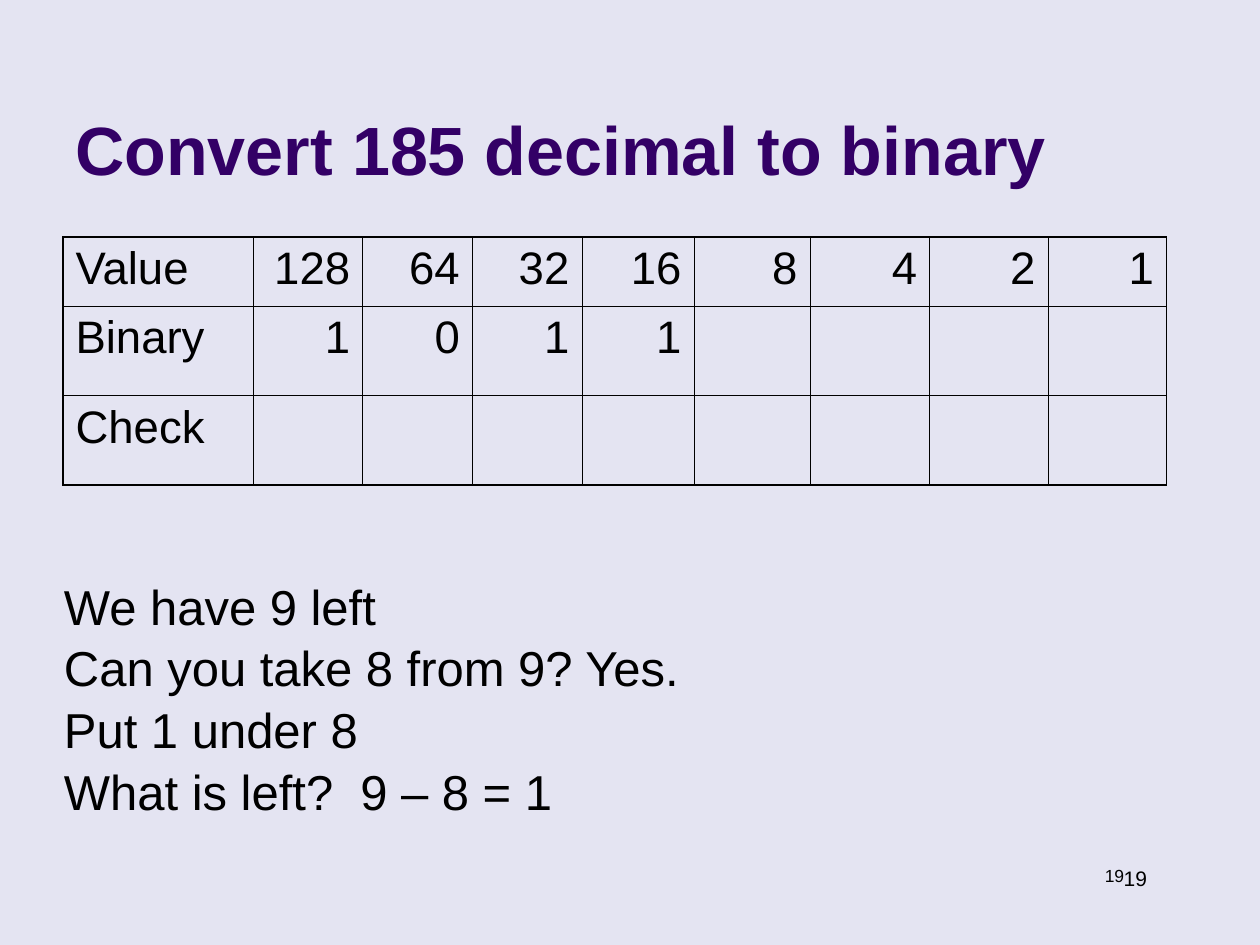
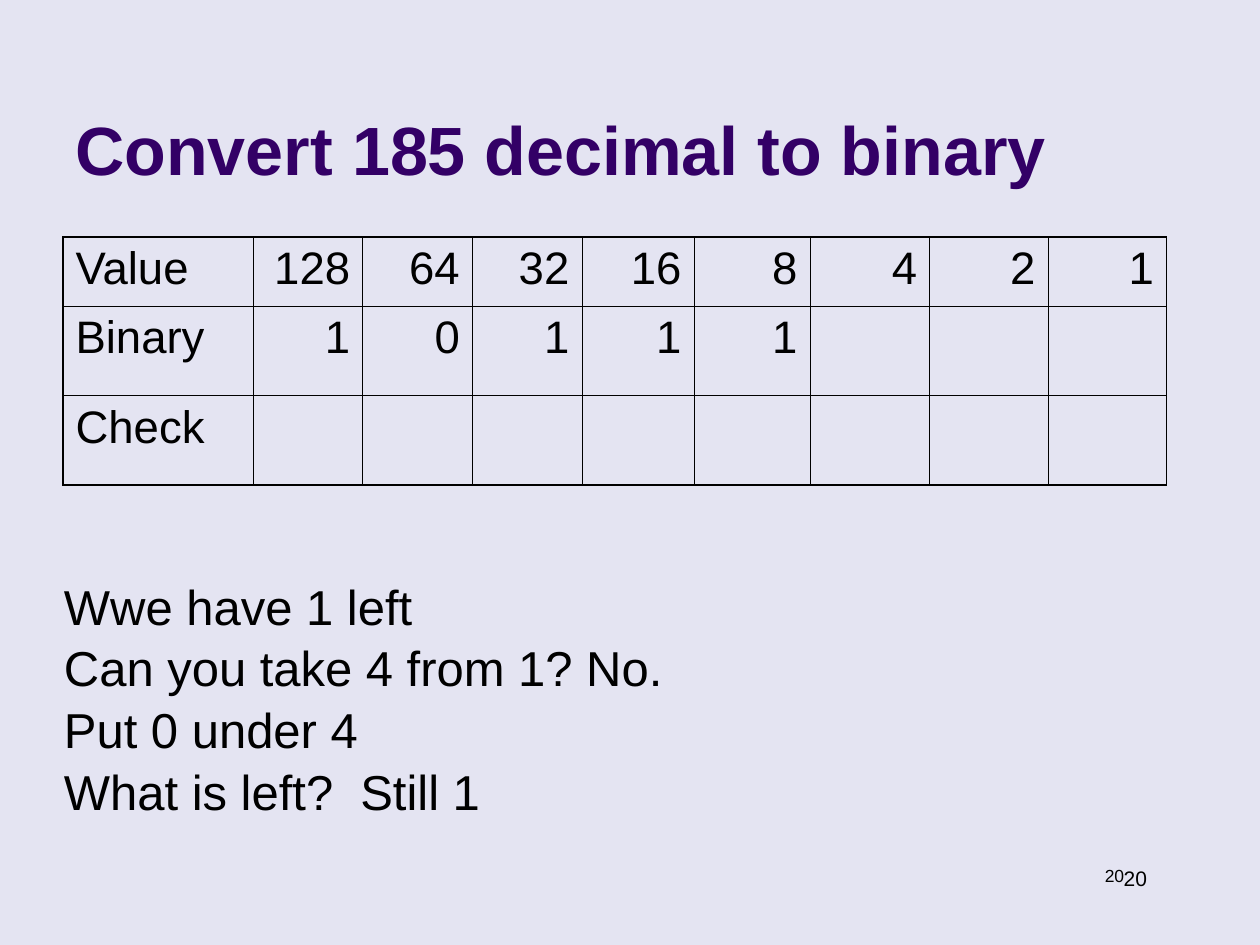
"""Build two slides that convert 185 to binary, one step on each."""
from lxml import etree
from pptx import Presentation
from pptx import util as u
from pptx.dml import color
from pptx.enum import text
from pptx.oxml import ns

FONT, INK, PURPLE, PAPER = "Arial", "000000", "330066", "E4E4F2"
TITLE = "Convert 185 decimal to binary"
PLACES = [128, 64, 32, 16, 8, 4, 2, 1]
COLS = [1.51, 0.87, 0.87, 0.87, 0.89, 0.92, 0.95, 0.94, 0.94]
ROWS = [0.55, 0.71, 0.71]
THIN, THICK = 0.45, 1.08
LEFT, RIGHT = text.PP_ALIGN.LEFT, text.PP_ALIGN.RIGHT

STEPS = [
    (19, "1011", ["We have 9 left", "Can you take 8 from 9? Yes.",
                  "Put 1 under 8", "What is left?  9 – 8 = 1"]),
    (20, "10111", ["Wwe have 1 left", "Can you take 4 from 1? No.",
                   "Put 0 under 4", "What is left?  Still 1"]),
]


def rgb(hex_code):
    return color.RGBColor.from_string(hex_code)


def write(tf, lines, size, ink=INK, bold=False, align=LEFT, spacing=1.0):
    tf.word_wrap = True
    tf.text = "\n".join(lines)
    for p in tf.paragraphs:
        p.alignment = align
        p.line_spacing = spacing
        for r in p.runs:
            r.font.name = FONT
            r.font.size = u.Pt(size)
            r.font.bold = bold
            r.font.color.rgb = rgb(ink)


prs = Presentation()
prs.slide_width, prs.slide_height = u.Inches(10), u.Inches(7.5)

for number, bits, lines in STEPS:
    s = prs.slides.add_slide(prs.slide_layouts[6])
    s.background.fill.solid()
    s.background.fill.fore_color.rgb = rgb(PAPER)

    for box, content, style in [
        ((6.97, 6.82, 2.05, 0.27), [str(number)], dict(size=10, align=RIGHT)),
        ((8.82, 6.82, 0.96, 0.3), [str(number)], dict(size=12)),
        ((0.5, 0.13, 8.25, 1.42), [TITLE], dict(size=39, ink=PURPLE, bold=True)),
        ((0.41, 4.5, 8.37, 1.97), lines, dict(size=28, spacing=1.05)),
    ]:
        sp = s.shapes.add_textbox(*map(u.Inches, box))
        write(sp.text_frame, content, **style)
        if content == [TITLE]:
            sp.text_frame.vertical_anchor = text.MSO_ANCHOR.BOTTOM

    table = s.shapes.add_table(len(ROWS), len(COLS), u.Inches(0.5), u.Inches(1.88),
                               u.Inches(sum(COLS)), u.Inches(sum(ROWS))).table
    table.first_row = table.horz_banding = False
    for column, width in zip(table.columns, COLS):
        column.width = u.Inches(width)
    for row, height in zip(table.rows, ROWS):
        row.height = u.Inches(height)

    values = [["Value", *PLACES], ["Binary", *bits], ["Check"]]
    for i in range(len(ROWS)):
        for j in range(len(COLS)):
            cell = table.cell(i, j)
            if j < len(values[i]):
                write(cell.text_frame, [str(values[i][j])], 26,
                      align=RIGHT if j else LEFT)
            tc_pr = cell._tc.get_or_add_tcPr()
            outer = {"lnL": j == 0, "lnR": j == len(COLS) - 1,
                     "lnT": i == 0, "lnB": i == len(ROWS) - 1}
            for side, is_outer in outer.items():
                ln = etree.SubElement(tc_pr, ns.qn(f"a:{side}"),
                                      w=str(u.Pt(THICK if is_outer else THIN)))
                fill = etree.SubElement(ln, ns.qn("a:solidFill"))
                etree.SubElement(fill, ns.qn("a:srgbClr"), val=INK)
            cell.fill.background()

prs.save("out.pptx")
